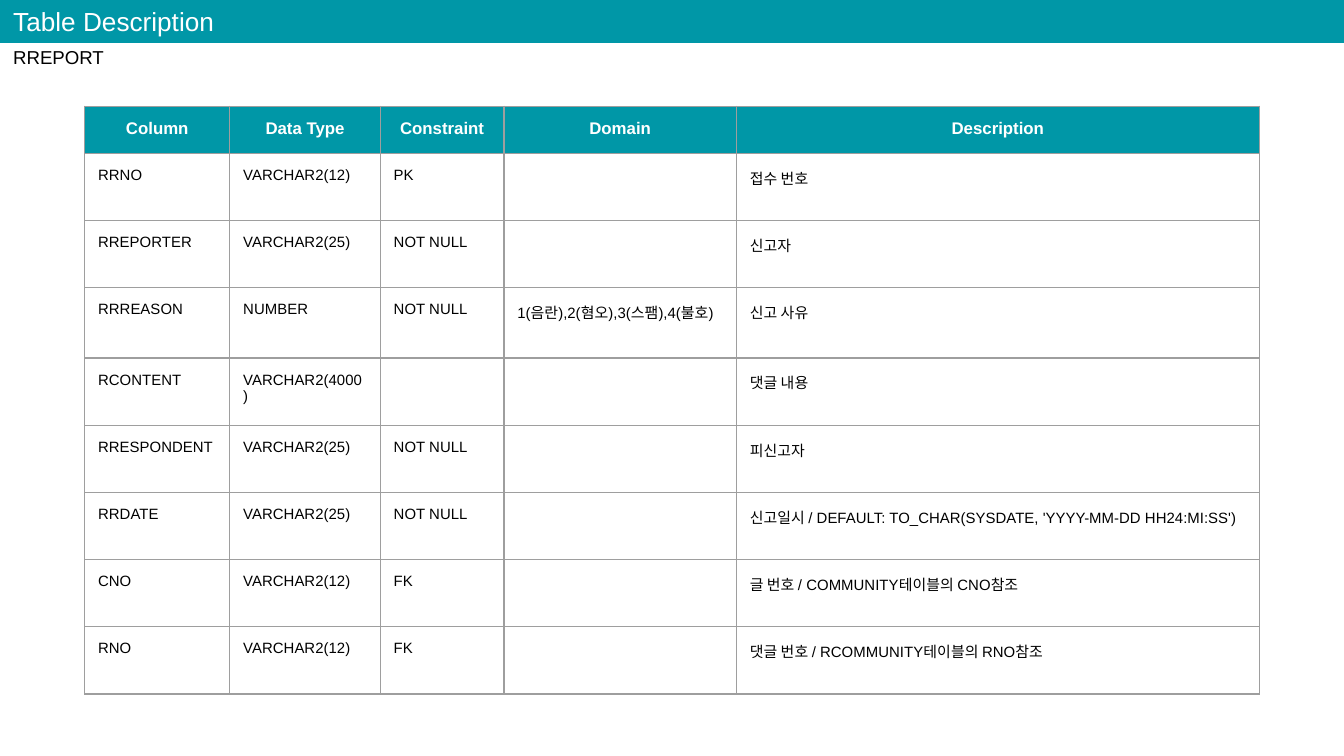
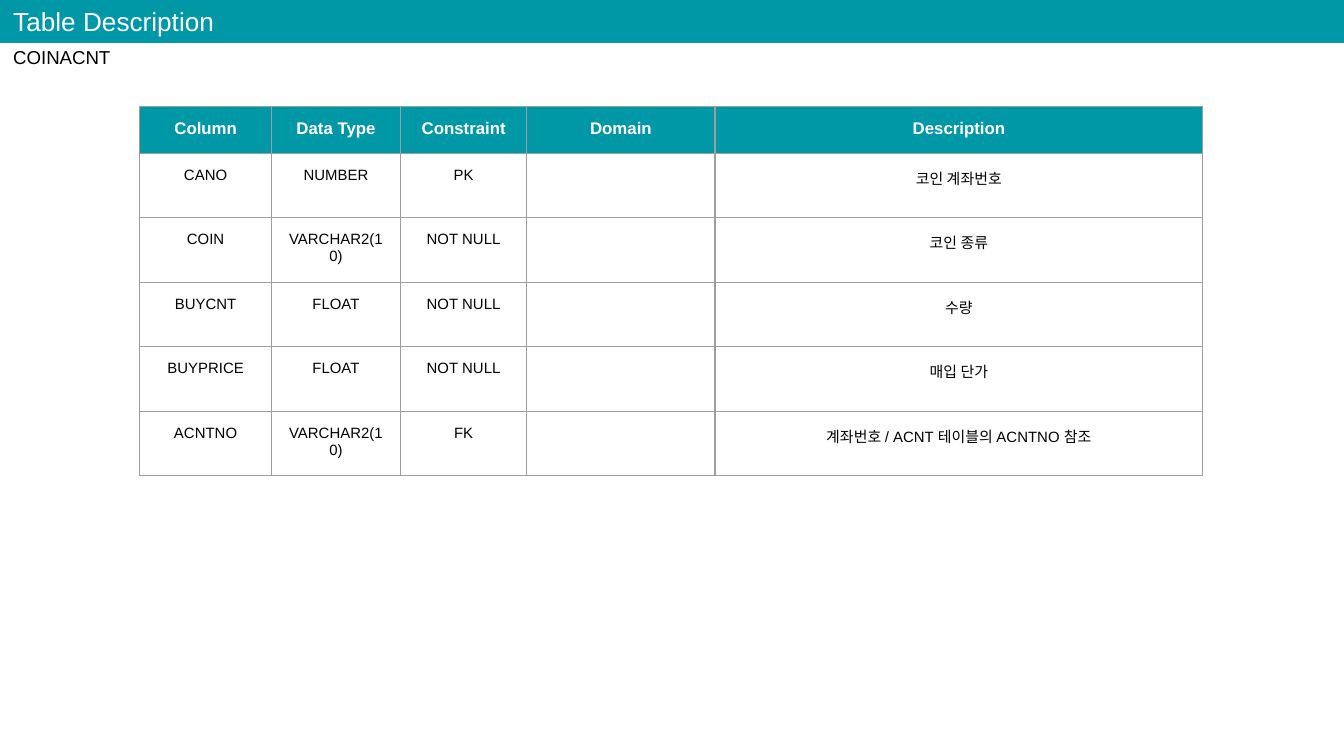
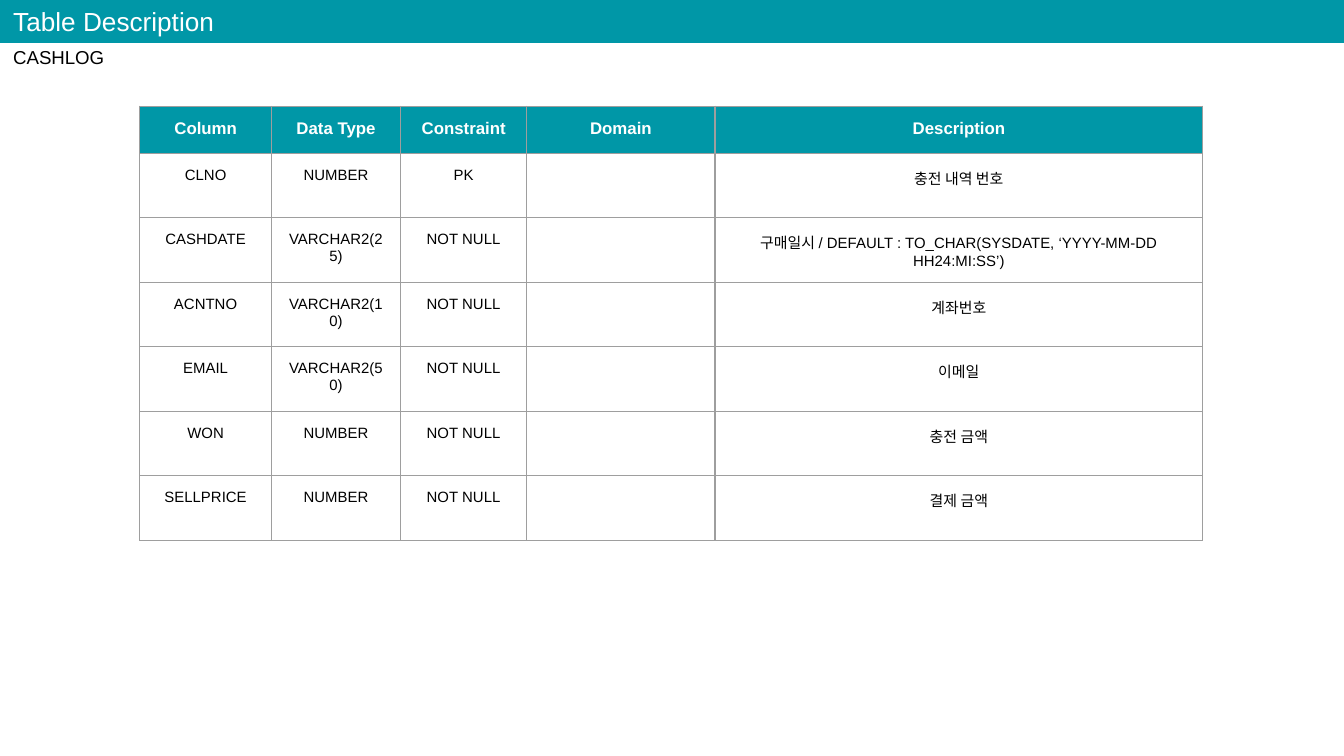
from dataclasses import dataclass

from lxml.etree import SubElement as Sub
from pptx import Presentation
from pptx.dml.color import RGBColor as RGB
from pptx.enum.shapes import MSO_SHAPE as Shape
from pptx.enum.text import MSO_AUTO_SIZE as Fit, PP_ALIGN as Align
from pptx.oxml.ns import qn
from pptx.util import Inches, Pt


@dataclass(frozen=True)
class Theme:
    """Colours, type sizes and line widths shared by all slides."""
    teal: str = "0097A7"
    white: str = "FFFFFF"
    black: str = "000000"
    grey: str = "9E9E9E"
    font: str = "Arial"
    title: int = 14
    name: int = 10
    head: int = 9
    body: int = 8
    rule: float = 0.75


T = Theme()
WIDE = Inches(10)
HIGH = WIDE * 9 // 16
UNIT = WIDE // 1000  # the grid: 1000 columns, square cells
PAD = 10 * UNIT

HEADS = ("Column", "Data Type", "Constraint", "Domain", "Description")

# Each layout: left edge, column widths, row height, height of a row
# without a domain, alignment of the body text.
LEFT = dict(left=63, cols=(108, 112, 92, 173, 389), row=35, tall=50,
            align=Align.LEFT)
MID = dict(left=104, cols=(98, 96, 94, 140, 363), row=34, tall=48,
           align=Align.CENTER)

REPORT = [
    ("RRNO", "VARCHAR2(12)", "PK", "", "접수 번호"),
    ("RREPORTER", "VARCHAR2(25)", "NOT NULL", "", "신고자"),
    ("RRREASON", "NUMBER", "NOT NULL",
     "1(음란),2(혐오),3(스팸),4(불호)", "신고 사유"),
    ("RCONTENT", "VARCHAR2(4000)", "", "", "댓글 내용"),
    ("RRESPONDENT", "VARCHAR2(25)", "NOT NULL", "", "피신고자"),
    ("RRDATE", "VARCHAR2(25)", "NOT NULL", "",
     "신고일시 / DEFAULT: TO_CHAR(SYSDATE, 'YYYY-MM-DD HH24:MI:SS')"),
    ("CNO", "VARCHAR2(12)", "FK", "", "글 번호 / COMMUNITY테이블의 CNO참조"),
    ("RNO", "VARCHAR2(12)", "FK", "", "댓글 번호 / RCOMMUNITY테이블의 RNO참조"),
]
COIN = [
    ("CANO", "NUMBER", "PK", "", "코인 계좌번호"),
    ("COIN", "VARCHAR2(10)", "NOT NULL", "", "코인 종류"),
    ("BUYCNT", "FLOAT", "NOT NULL", "", "수량"),
    ("BUYPRICE", "FLOAT", "NOT NULL", "", "매입 단가"),
    ("ACNTNO", "VARCHAR2(10)", "FK", "", "계좌번호 / ACNT 테이블의 ACNTNO 참조"),
]
CASH = [
    ("CLNO", "NUMBER", "PK", "", "충전 내역 번호"),
    ("CASHDATE", "VARCHAR2(25)", "NOT NULL", "",
     "구매일시 / DEFAULT : TO_CHAR(SYSDATE, ‘YYYY-MM-DD HH24:MI:SS’)"),
    ("ACNTNO", "VARCHAR2(10)", "NOT NULL", "", "계좌번호"),
    ("EMAIL", "VARCHAR2(50)", "NOT NULL", "", "이메일"),
    ("WON", "NUMBER", "NOT NULL", "", "충전 금액"),
    ("SELLPRICE", "NUMBER", "NOT NULL", "", "결제 금액"),
]


def grid(*cells):
    """Turn grid counts into lengths."""
    return [n * UNIT for n in cells]


def style(frame, size, color, bold=False, align=Align.LEFT):
    """Format all the text in a frame."""
    for para in frame.paragraphs:
        para.alignment = align
        for run in para.runs:
            font = run.font
            font.name, font.size, font.bold = T.font, Pt(size), bold
            font.color.rgb = RGB.from_string(color)


def pad(item):
    """Give a cell or a text frame equal insets."""
    item.margin_left = item.margin_right = PAD
    item.margin_top = item.margin_bottom = PAD


def label(slide, box, text, size, color):
    """Place one line of text in a box."""
    frame = slide.shapes.add_textbox(*grid(*box)).text_frame
    frame.word_wrap = True
    frame.auto_size = Fit.SHAPE_TO_FIT_TEXT
    pad(frame)
    frame.text = text
    style(frame, size, color)


def band(slide, box, text):
    """Draw the title band with its title."""
    left, top, wide, high = box
    bar = slide.shapes.add_shape(Shape.RECTANGLE, *grid(*box))
    bar.shadow.inherit = False
    bar.fill.solid()
    bar.fill.fore_color.rgb = RGB.from_string(T.teal)
    bar.line.fill.background()
    label(slide, (left, top - 6, 282, high + 12), text, T.title, T.white)


def edge(cell):
    """Rule all four sides of a cell."""
    props = cell._tc.get_or_add_tcPr()
    for side in ("a:lnL", "a:lnR", "a:lnT", "a:lnB"):
        line = Sub(props, qn(side), w=str(int(Pt(T.rule))))
        fill = Sub(line, qn("a:solidFill"))
        Sub(fill, qn("a:srgbClr"), val=T.grey)


def fill(cell, text, head, align):
    """Rule, fill and write one table cell."""
    edge(cell)
    if head:
        cell.fill.solid()
        cell.fill.fore_color.rgb = RGB.from_string(T.teal)
    else:
        cell.fill.background()
    if not text:
        return
    pad(cell)
    cell.text_frame.text = text
    if head:
        style(cell.text_frame, T.head, T.white, True, Align.CENTER)
    else:
        style(cell.text_frame, T.body, T.black, False, align)


def table(slide, top, rows, left, cols, row, tall, align):
    """Build a column listing under its header row."""
    data = [HEADS, *rows]
    highs = [row if line[3] else tall for line in data]
    box = grid(left, top, sum(cols), sum(highs))
    tab = slide.shapes.add_table(len(data), len(cols), *box).table
    tab.first_row = tab.horz_banding = False
    for col, wide in zip(tab.columns, grid(*cols)):
        col.width = wide
    for i, (line, high) in enumerate(zip(data, grid(*highs))):
        tab.rows[i].height = high
        for j, text in enumerate(line):
            fill(tab.cell(i, j), text, i == 0, align)


def page(deck, name, rows, plan):
    """Add a slide that describes one database table."""
    slide = deck.slides.add_slide(deck.slide_layouts[6])
    table(slide, 79, rows, **plan)
    label(slide, (0, 26, 282, 37), name, T.name, T.black)
    band(slide, (0, 0, 1000, 32), "Table Description")


deck = Presentation()
deck.slide_width, deck.slide_height = WIDE, HIGH
page(deck, "RREPORT", REPORT, LEFT)
page(deck, "COINACNT", COIN, MID)
page(deck, "CASHLOG", CASH, MID)
deck.save("out.pptx")
